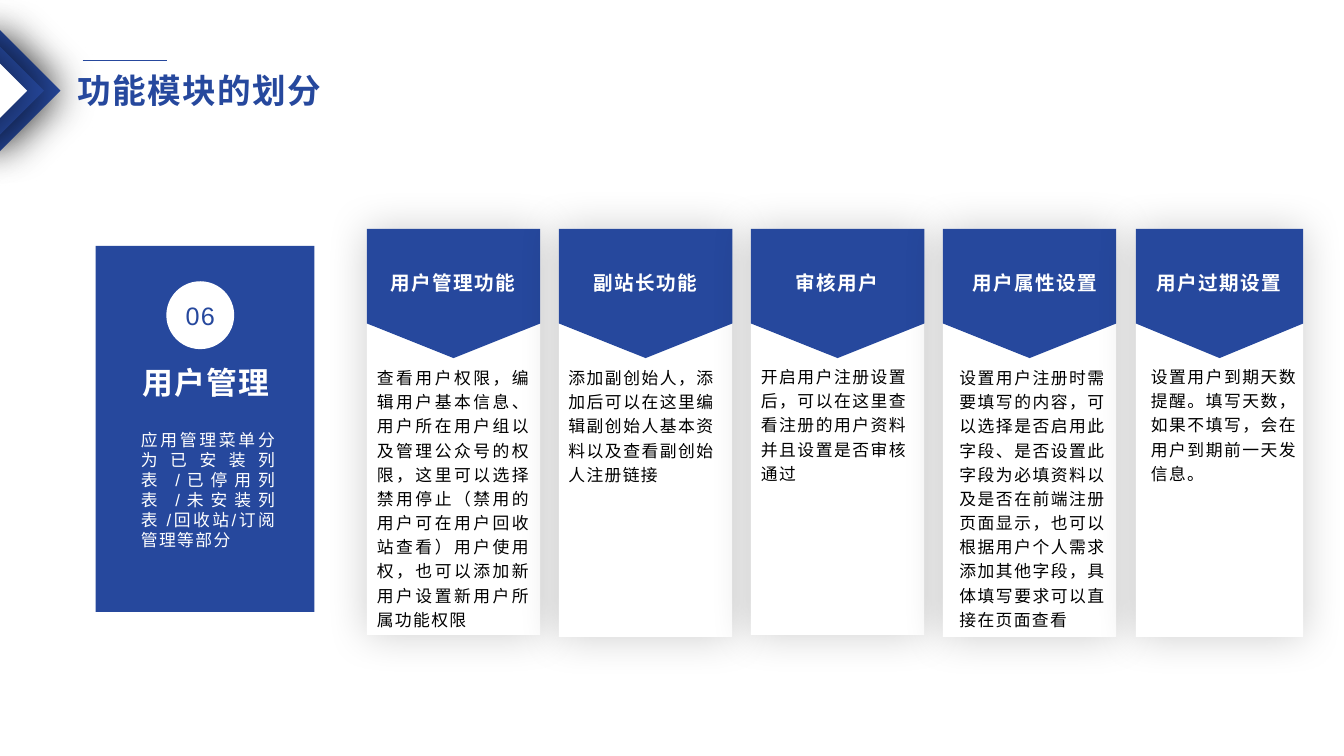
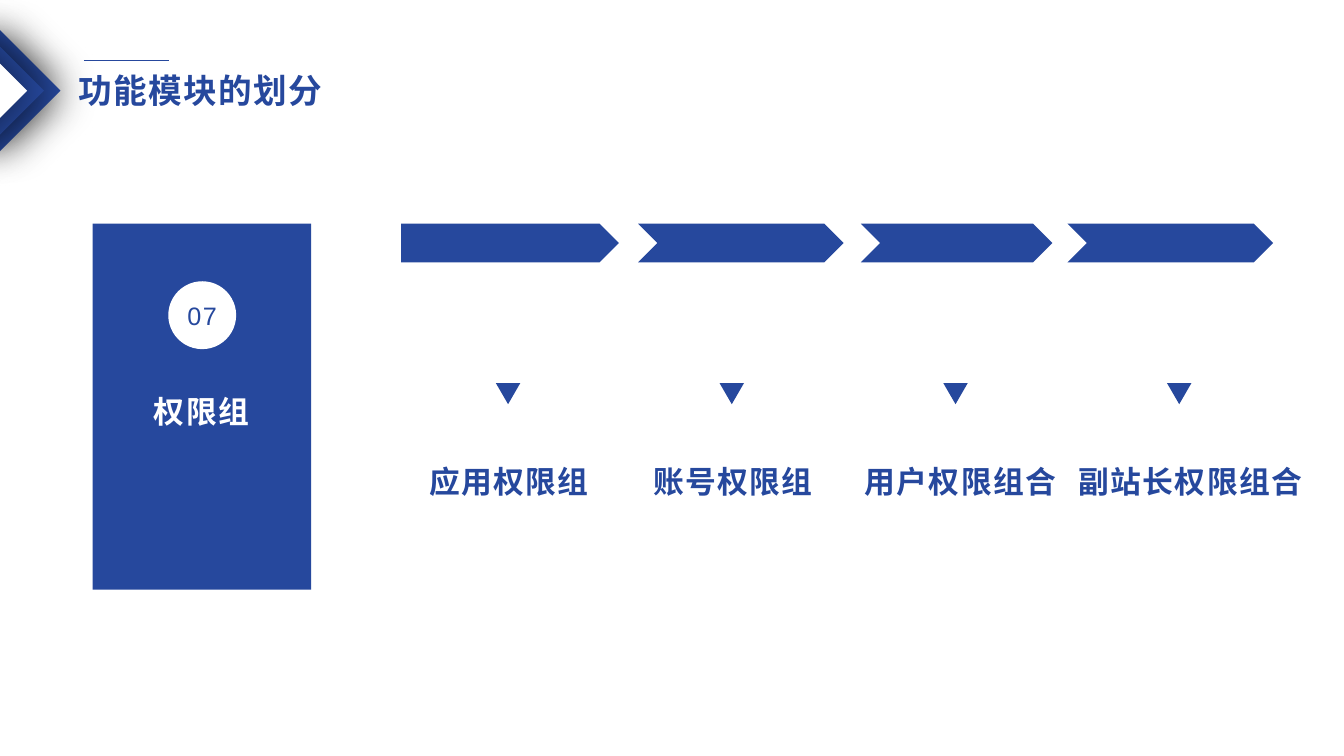
from dataclasses import dataclass
from typing import Optional

from lxml import etree
from pptx import Presentation
from pptx import util as u
from pptx.dml.color import RGBColor
from pptx.enum import lang, shapes, text
from pptx.oxml import ns

Pt = u.Pt
Shape = shapes.MSO_SHAPE
Align = text.PP_ALIGN


@dataclass(frozen=True)
class Theme:
    blue: str = "26489D"
    white: str = "FFFFFF"
    black: str = "000000"
    font: str = "Arial"
    title: float = 24
    heading: float = 22
    number: float = 18
    card_heading: float = 14
    body: float = 12
    spacing: float = 1
    rule: float = 0.5


@dataclass(frozen=True)
class Box:
    left: float
    top: float
    width: float
    height: float

    def lengths(self) -> tuple:
        return Pt(self.left), Pt(self.top), Pt(self.width), Pt(self.height)


@dataclass(frozen=True)
class Shadow:
    opacity: int
    blur: float
    distance: float


@dataclass(frozen=True)
class Panel:
    left: float
    top: float
    number: str
    number_left: float
    heading: str
    heading_box: Box


@dataclass(frozen=True)
class Card:
    heading: str
    body: str
    left: float
    top: float
    bottom: float
    heading_left: float
    body_left: float
    body_top: float = 256.3
    width: float = 123.8
    body_width: float = 118.8


@dataclass(frozen=True)
class Stage:
    label: str
    arrow_left: float
    arrow_width: float
    label_left: float
    label_width: float


THEME = Theme()
MARK_SHADOW = Shadow(50, 30, 3)
CARD_SHADOW = Shadow(20, 30, 0)
MARK_SIZE = 86.4
PANEL_WIDTH, PANEL_HEIGHT = 156.2, 261.4
NUMBER_TOP, NUMBER_SIZE = 200.9, 48.5
CARD_LEFT, CARD_PITCH = 262.1, 137.15
RIBBON_TOP, RIBBON_SHOULDER, RIBBON_TIP = 163.5, 231.1, 255.8
POINTER_CENTER, POINTER_PITCH = 362.9, 159.8

USER_PANEL = Panel(68.4, 175.7, "06", 118.8, "用户管理", Box(93.6, 256.3, 106.6, 33.8))
USER_SUMMARY = "应用管理菜单分为已安装列表 /已停用列表 /未安装列表 /回收站/订阅管理等部分"
GROUP_PANEL = Panel(66.2, 159.8, "07", 120.2, "权限组", Box(102.2, 277.2, 83.5, 33.8))

CARDS = [
    Card("用户管理功能",
         "查看用户权限，编辑用户基本信息、用户所在用户组以及管理公众号的权限，这里可以选择禁用停止（禁用的用户可在用户回收站查看）用户使用权，也可以添加新用户设置新用户所属功能权限",
         CARD_LEFT, 164, 453.6, 270.7, 262.1, body_width=123.8),
    Card("副站长功能",
         "添加副创始人，添加后可以在这里编辑副创始人基本资料以及查看副创始人注册链接",
         CARD_LEFT + CARD_PITCH, 163.5, 455, 408.2, 398.9),
    Card("审核用户",
         "开启用户注册设置后，可以在这里查看注册的用户资料并且设置是否审核通过",
         CARD_LEFT + 2 * CARD_PITCH, 164, 453.6, 545, 536.4, body_top=255.6),
    Card("用户属性设置",
         "设置用户注册时需要填写的内容，可以选择是否启用此字段、是否设置此字段为必填资料以及是否在前端注册页面显示，也可以根据用户个人需求添加其他字段，具体填写要求可以直接在页面查看",
         CARD_LEFT + 3 * CARD_PITCH, 163.5, 455, 686.2, 678.2),
    Card("用户过期设置",
         "设置用户到期天数提醒。填写天数，如果不填写，会在用户到期前一天发信息。",
         811.4, 164, 455, 817.9, 815, body_top=255.6, width=119.5),
]

STAGES = [
    Stage("应用权限组", 286.6, 155.5, 298.8, 129.6),
    Stage("账号权限组", 455.8, 146.9, 455.8, 135.4),
    Stage("用户权限组合", 614.9, 136.8, 609.8, 152.6),
    Stage("副站长权限组合", 762.5, 146.9, 762.5, 175.7),
]


def paint(shape, color: str, shadow: Optional[Shadow] = None) -> None:
    shape.fill.solid()
    shape.fill.fore_color.rgb = RGBColor.from_string(color)
    shape.line.fill.background()
    shape.shadow.inherit = False
    if shadow:
        effects = shape._element.spPr.find(ns.qn("a:effectLst"))
        outer = etree.SubElement(
            effects, ns.qn("a:outerShdw"), blurRad=str(Pt(shadow.blur)),
            dist=str(Pt(shadow.distance)), dir="0", algn="ctr", rotWithShape="0")
        tint = etree.SubElement(outer, ns.qn("a:srgbClr"), val=THEME.black)
        etree.SubElement(tint, ns.qn("a:alpha"), val=str(shadow.opacity * 1000))


def add_block(slide, kind, box: Box, color: str, shadow: Optional[Shadow] = None):
    block = slide.shapes.add_shape(kind, *box.lengths())
    paint(block, color, shadow)
    return block


def write(frame, words: str, size: float, color: str, bold: bool = False,
          align=Align.CENTER, wrap: bool = False, line_spacing: float = 1.0) -> None:
    frame.word_wrap = wrap
    frame.text = words
    paragraph = frame.paragraphs[0]
    paragraph.alignment = align
    paragraph.line_spacing = line_spacing
    run = paragraph.runs[0]
    run.font.name = THEME.font
    run.font.size = Pt(size)
    run.font.bold = bold
    run.font.language_id = lang.MSO_LANGUAGE_ID.SIMPLIFIED_CHINESE
    run.font.color.rgb = RGBColor.from_string(color)
    run._r.get_or_add_rPr().set("spc", str(int(THEME.spacing * 100)))


def add_words(slide, box: Box, words: str, size: float, color: str, **style) -> None:
    write(slide.shapes.add_textbox(*box.lengths()).text_frame, words, size, color, **style)


def add_header(slide, left: float) -> None:
    for mark_left, color in ((-43.2, THEME.blue), (-55, THEME.blue), (-67, THEME.white)):
        add_block(slide, Shape.DIAMOND, Box(mark_left, 21.6, MARK_SIZE, MARK_SIZE),
                  color, MARK_SHADOW)
    add_words(slide, Box(left, 46.1, 189.4, 36), "功能模块的划分", THEME.title,
              THEME.blue, bold=True, align=Align.LEFT)
    rule = slide.shapes.add_connector(
        shapes.MSO_CONNECTOR.STRAIGHT, Pt(left + 10.9), Pt(43.2), Pt(left + 71.4), Pt(43.2))
    rule.line.color.rgb = RGBColor.from_string(THEME.blue)
    rule.line.width = Pt(THEME.rule)
    etree.SubElement(rule._element.spPr, ns.qn("a:effectLst"))


def add_panel(slide, panel: Panel) -> None:
    add_block(slide, Shape.RECTANGLE,
              Box(panel.left, panel.top, PANEL_WIDTH, PANEL_HEIGHT), THEME.blue)
    badge = add_block(slide, Shape.OVAL,
                      Box(panel.number_left, NUMBER_TOP, NUMBER_SIZE, NUMBER_SIZE), THEME.white)
    write(badge.text_frame, panel.number, THEME.number, THEME.blue)
    add_words(slide, panel.heading_box, panel.heading, THEME.heading, THEME.white, bold=True)


def add_card(slide, card: Card) -> None:
    add_block(slide, Shape.RECTANGLE,
              Box(card.left, card.top, card.width, card.bottom - card.top),
              THEME.white, CARD_SHADOW)
    right = card.left + card.width
    outline = slide.shapes.build_freeform(Pt(card.left), Pt(RIBBON_TOP))
    corners = [(right, RIBBON_TOP), (right, RIBBON_SHOULDER),
               (card.left + card.width / 2, RIBBON_TIP), (card.left, RIBBON_SHOULDER)]
    outline.add_line_segments([(Pt(x), Pt(y)) for x, y in corners], close=True)
    paint(outline.convert_to_shape(), THEME.blue)
    add_words(slide, Box(card.heading_left, 190, 105.8, 24.5), card.heading,
              THEME.card_heading, THEME.white, bold=True, wrap=True)
    add_words(slide, Box(card.body_left, card.body_top, card.body_width, 198.7), card.body,
              THEME.body, THEME.black, align=Align.JUSTIFY, wrap=True, line_spacing=1.2)


def add_stage(slide, index: int, stage: Stage) -> None:
    kind = Shape.NOTCHED_RIGHT_ARROW if index else Shape.PENTAGON
    arrow = add_block(slide, kind, Box(stage.arrow_left, 159.8, stage.arrow_width, 27.6),
                      THEME.blue)
    if index:
        arrow.adjustments[0] = 1.0
        arrow.adjustments[1] = 0.5
    center = POINTER_CENTER + index * POINTER_PITCH
    pointer = add_block(slide, Shape.ISOSCELES_TRIANGLE,
                        Box(center - 8.75, 273.6, 17.5, 15.1), THEME.blue)
    pointer.rotation = 180
    add_words(slide, Box(stage.label_left, 326.9, stage.label_width, 33.8), stage.label,
              THEME.heading, THEME.blue, bold=True)


def main() -> None:
    deck = Presentation()
    deck.slide_width, deck.slide_height = Pt(960), Pt(540)
    blank = deck.slide_layouts[6]

    users = deck.slides.add_slide(blank)
    add_header(users, 48.2)
    add_panel(users, USER_PANEL)
    add_words(users, Box(93.6, 303.1, 110.9, 94.3), USER_SUMMARY, THEME.body, THEME.white,
              align=Align.JUSTIFY, wrap=True)
    for card in CARDS:
        add_card(users, card)

    groups = deck.slides.add_slide(blank)
    add_header(groups, 49)
    for index, stage in enumerate(STAGES):
        add_stage(groups, index, stage)
    add_panel(groups, GROUP_PANEL)

    deck.save("out.pptx")


if __name__ == "__main__":
    main()
